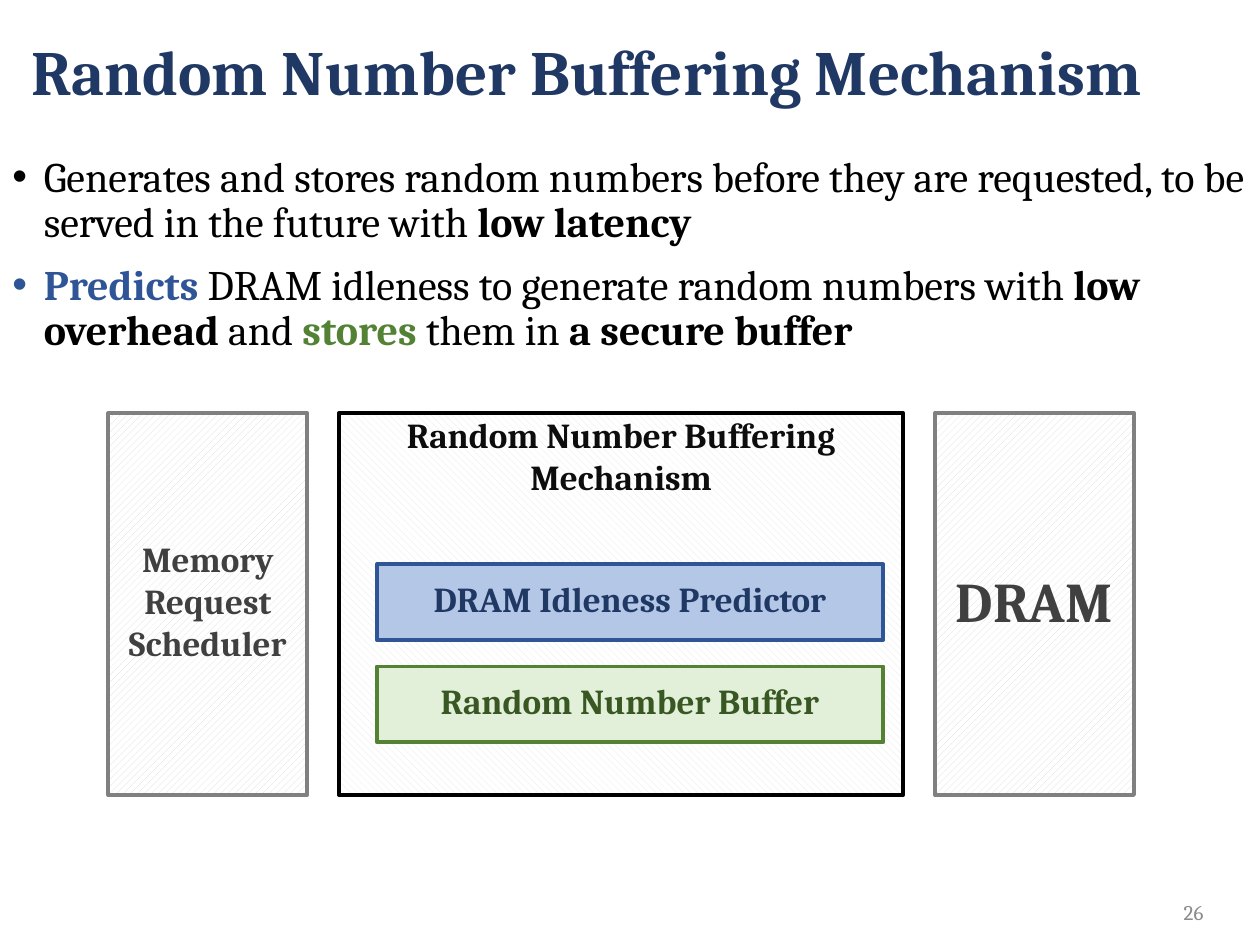
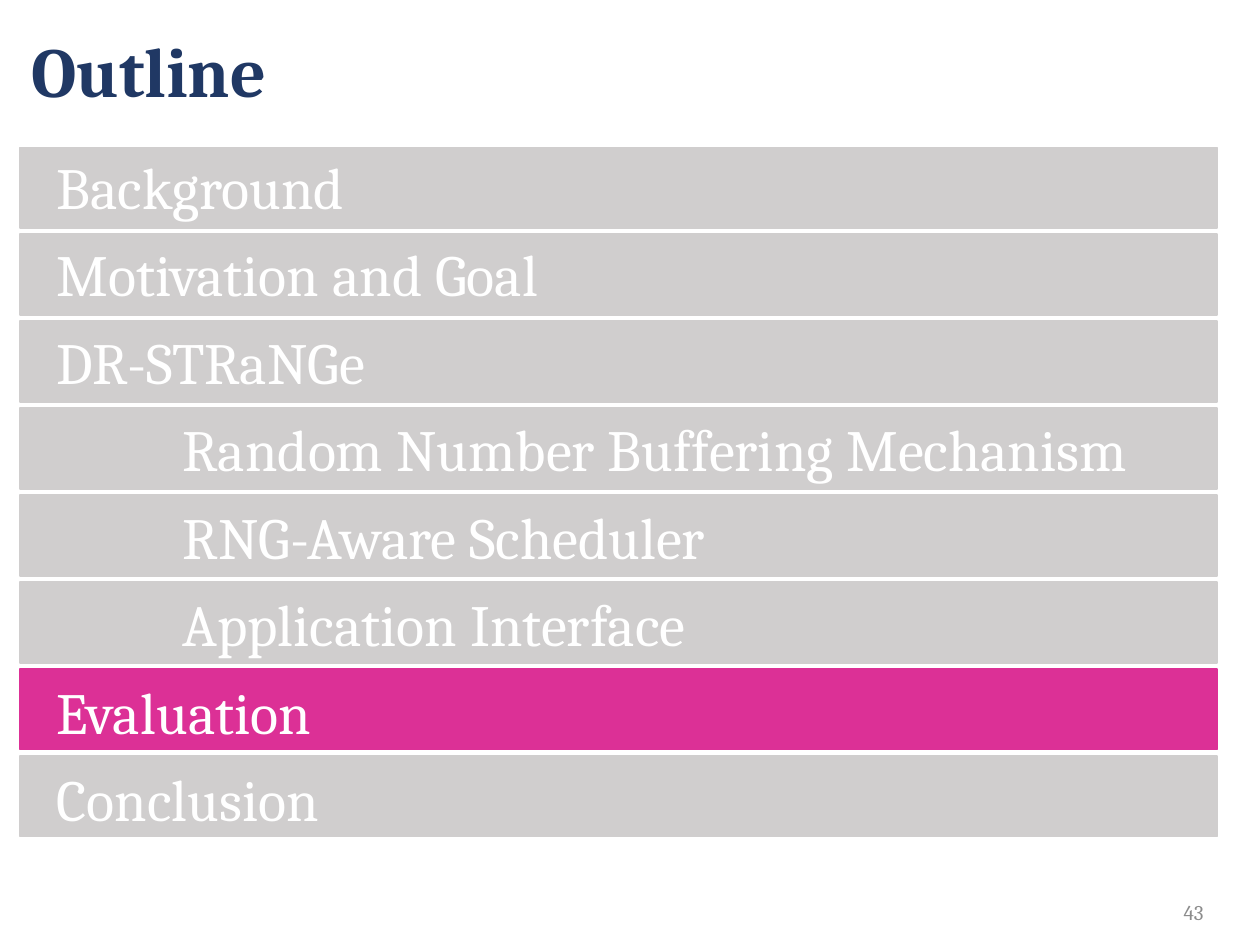
"""Build the random number buffering slide and the outline slide."""
from dataclasses import dataclass
from typing import NamedTuple, Optional

from lxml.etree import SubElement
from pptx import Presentation
from pptx.dml.color import RGBColor
from pptx.enum.dml import MSO_PATTERN as Pattern
from pptx.enum.shapes import MSO_SHAPE as Shape
from pptx.enum.text import MSO_ANCHOR as Anchor, PP_ALIGN as Align
from pptx.oxml.ns import qn
from pptx.util import Inches, Pt

FONT = "Cambria"
COLORS = {
    "navy": "203864",
    "blue": "2F5597",
    "pale_blue": "B4C7E7",
    "green": "548235",
    "dark_green": "385723",
    "pale_green": "E2F0D9",
    "black": "000000",
    "near_black": "0D0D0D",
    "charcoal": "404040",
    "gray": "808080",
    "number_gray": "8C8C8C",
    "hatch_gray": "E7E6E6",
    "hatch_lilac": "DDDAE2",
    "bar_gray": "D0CECE",
    "pink": "DC3096",
    "white": "FFFFFF",
}


class Area(NamedTuple):
    left: float
    top: float
    width: float
    height: float


class Span(NamedTuple):
    text: str
    bold: bool = False
    color: str = "black"


@dataclass
class Block:
    label: str
    area: Area
    fill: str
    border: str
    ink: str
    size: float = 20
    hatch: Optional[Pattern] = None
    anchor: Anchor = Anchor.MIDDLE


class Topic(NamedTuple):
    label: str
    nested: bool = False
    current: bool = False


SIDE = dict(fill="hatch_lilac", border="gray", ink="charcoal", hatch=Pattern.WIDE_UPWARD_DIAGONAL)
BLOCKS = [
    Block("Random Number Buffering Mechanism", Area(2.69, 3.28, 4.48, 3.03), "hatch_gray",
          "black", "near_black", hatch=Pattern.WIDE_DOWNWARD_DIAGONAL, anchor=Anchor.TOP),
    Block("Memory Request Scheduler", Area(0.86, 3.28, 1.58, 3.03), **SIDE),
    Block("DRAM", Area(7.42, 3.28, 1.58, 3.03), size=32, **SIDE),
    Block("DRAM Idleness Predictor", Area(2.99, 4.48, 4.02, 0.6), "pale_blue", "blue", "navy"),
    Block("Random Number Buffer", Area(2.99, 5.29, 4.02, 0.6), "pale_green", "green", "dark_green"),
]
POINTS = [
    [
        Span("Generates and stores random numbers before they are requested, "
             "to be served in the future with "),
        Span("low latency", True),
    ],
    [
        Span("Predicts", True, "blue"),
        Span(" DRAM idleness to generate random numbers with "),
        Span("low overhead ", True),
        Span("and "),
        Span("stores ", True, "green"),
        Span("them in "),
        Span("a secure buffer", True),
    ],
]
TOPICS = [
    Topic("Background"),
    Topic("Motivation and Goal"),
    Topic("DR-STRaNGe"),
    Topic("Random Number Buffering Mechanism", nested=True),
    Topic("RNG-Aware Scheduler", nested=True),
    Topic("Application Interface", nested=True),
    Topic("Evaluation", current=True),
    Topic("Conclusion"),
]
BAR_TOP, BAR_PITCH = 1.17, 0.69


def rgb(color: str) -> RGBColor:
    return RGBColor.from_string(COLORS[color])


def inches(area: Area) -> list:
    return [Inches(length) for length in area]


def set_font(font, size: float, color: Optional[str] = None, bold: Optional[bool] = None) -> None:
    font.name, font.size, font.bold = FONT, Pt(size), bold
    if color:
        font.color.rgb = rgb(color)


def set_indent(paragraph, left: float, first: float = 0, bullet: str = "") -> None:
    properties = paragraph._p.get_or_add_pPr()
    properties.set("marL", str(Inches(left)))
    properties.set("indent", str(Inches(first)))
    if bullet:
        SubElement(properties, qn("a:buFont"), typeface="Arial")
        SubElement(properties, qn("a:buChar"), char=bullet)


def add_text_frame(slide, area: Area, anchor: Anchor = Anchor.TOP):
    frame = slide.shapes.add_textbox(*inches(area)).text_frame
    frame.word_wrap = True
    frame.vertical_anchor = anchor
    return frame


def next_paragraph(frame, index: int):
    if index == 0:
        return frame.paragraphs[0]
    paragraph = frame.add_paragraph()
    paragraph.space_before = Pt(10)
    return paragraph


def add_rectangle(slide, area: Area, fill: str, border: str, weight: float,
                  hatch: Optional[Pattern] = None):
    rectangle = slide.shapes.add_shape(Shape.RECTANGLE, *inches(area))
    rectangle.shadow.inherit = False
    if hatch is None:
        rectangle.fill.solid()
    else:
        rectangle.fill.patterned()
        rectangle.fill.pattern = hatch
        rectangle.fill.back_color.rgb = rgb("white")
    rectangle.fill.fore_color.rgb = rgb(fill)
    rectangle.line.color.rgb = rgb(border)
    rectangle.line.width = Pt(weight)
    return rectangle


def add_page(deck, heading: str, heading_size: float, number: int):
    slide = deck.slides.add_slide(deck.slide_layouts[6])
    title = add_text_frame(slide, Area(0.15, 0, 9.73, 1.19), Anchor.MIDDLE).paragraphs[0]
    title.text = heading
    title.line_spacing = 0.9
    set_font(title.font, heading_size, "navy", True)
    footer = add_text_frame(slide, Area(9.18, 7.13, 0.47, 0.22), Anchor.MIDDLE).paragraphs[0]
    footer.text = str(number)
    footer.alignment = Align.RIGHT
    set_font(footer.font, 12, "number_gray")
    return slide


def add_points(slide, points: list[list[Span]]) -> None:
    frame = add_text_frame(slide, Area(0, 1.19, 10, 5.56))
    for index, spans in enumerate(points):
        paragraph = next_paragraph(frame, index)
        set_indent(paragraph, 0.25, -0.25, "•")
        paragraph.line_spacing = 0.9
        set_font(paragraph.font, 24)
        for span in spans:
            run = paragraph.add_run()
            run.text = span.text
            run.font.bold = span.bold
            run.font.color.rgb = rgb(span.color)


def add_block(slide, block: Block) -> None:
    frame = add_rectangle(slide, block.area, block.fill, block.border, 2.25, block.hatch).text_frame
    frame.word_wrap = True
    frame.vertical_anchor = block.anchor
    frame.margin_top, frame.margin_bottom = Inches(0), Inches(0.06)
    label = frame.paragraphs[0]
    label.text = block.label
    label.alignment = Align.CENTER
    set_font(label.font, block.size, block.ink, True)


def add_outline(slide, topics: list[Topic]) -> None:
    for index, topic in enumerate(topics):
        color = "pink" if topic.current else "bar_gray"
        add_rectangle(slide, Area(0.16, BAR_TOP + index * BAR_PITCH, 9.5, 0.64), color, color, 1)
    frame = add_text_frame(slide, Area(0.35, 1.15, 9.3, 5.6))
    for index, topic in enumerate(topics):
        paragraph = next_paragraph(frame, index)
        paragraph.text = topic.label
        set_indent(paragraph, 1 if topic.nested else 0)
        set_font(paragraph.font, 33.3, "white")


def main() -> None:
    deck = Presentation()
    deck.slide_width, deck.slide_height = Inches(10), Inches(7.5)

    mechanism = add_page(deck, "Random Number Buffering Mechanism", 36, 26)
    add_points(mechanism, POINTS)
    for block in BLOCKS:
        add_block(mechanism, block)

    outline = add_page(deck, "Outline", 40, 43)
    add_outline(outline, TOPICS)

    deck.save("out.pptx")


if __name__ == "__main__":
    main()
